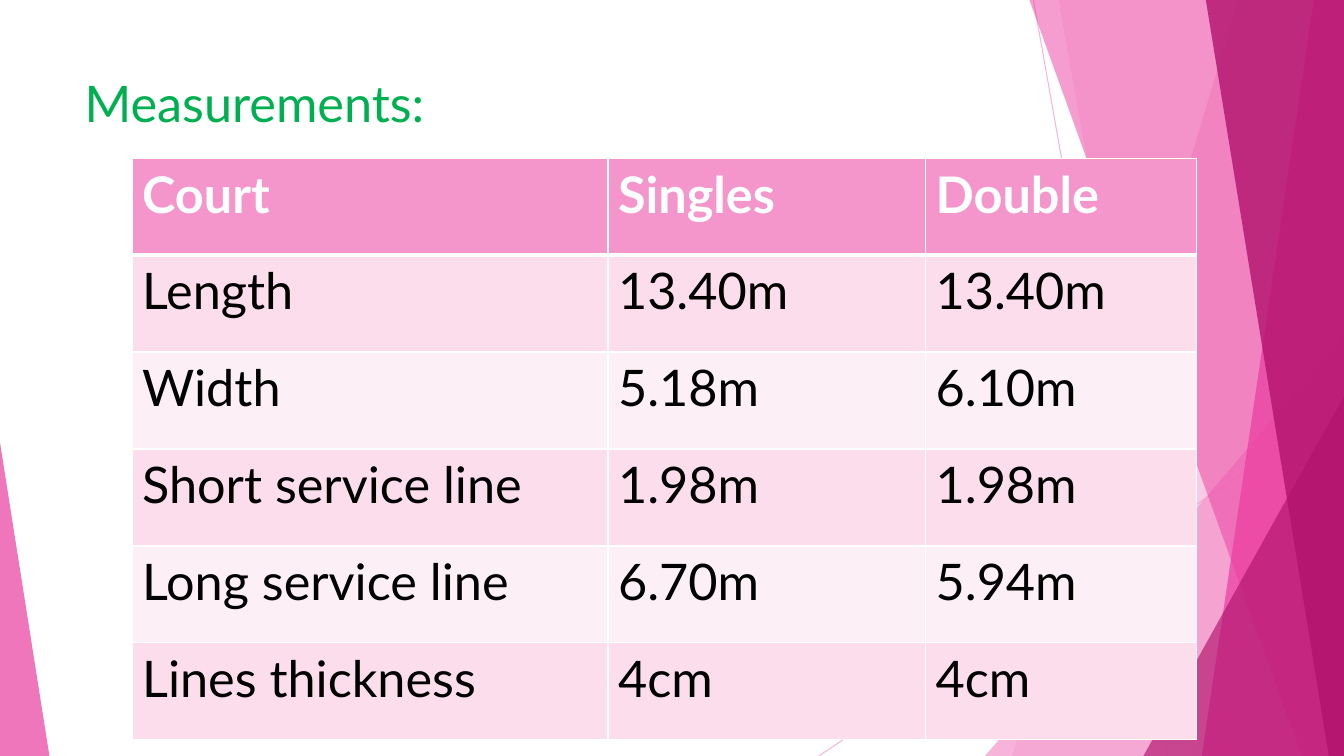
from lxml import etree
from pptx import Presentation
from pptx.dml.color import RGBColor
from pptx.enum.shapes import MSO_CONNECTOR, MSO_SHAPE
from pptx.oxml.ns import qn
from pptx.util import Inches, Pt

STRAIGHT = MSO_CONNECTOR.STRAIGHT
TRIANGLE = MSO_SHAPE.ISOSCELES_TRIANGLE
WIDTH, HEIGHT = 13.33, 7.5
FONT = "Lato"
LIGHT_PINK, PINK, DARK_PINK = "F496CB", "EB3D9F", "B2136D"
WHITE, BLACK, GREEN = "FFFFFF", "000000", "00B050"
BAND_FILLS = ("FDEFF6", "FBDDEC")


def paint(fill, color, opacity=100):
    """Make a fill solid in a hex colour, with opacity in percent."""
    fill.solid()
    fill.fore_color.rgb = RGBColor.from_string(color)
    if opacity < 100:
        for color_element in fill._xPr.iter(qn("a:srgbClr")):
            etree.SubElement(color_element, qn("a:alpha"), val=str(opacity * 1000))


def write(text_frame, text, color, bold=False):
    text_frame.text = text
    font = text_frame.paragraphs[0].runs[0].font
    font.name, font.size, font.bold = FONT, Pt(36), bold
    font.color.rgb = RGBColor.from_string(color)


presentation = Presentation()
presentation.slide_width, presentation.slide_height = Inches(WIDTH), Inches(HEIGHT)
slide = presentation.slides.add_slide(presentation.slide_layouts[6])
shapes = slide.shapes

# Thin lines behind the bands
for ends in ((10.25, 0, 11.58, HEIGHT), (WIDTH, 4.03, 8.12, HEIGHT)):
    connector = shapes.add_connector(STRAIGHT, *map(Inches, ends))
    connector.line.width = Pt(0.75)
    paint(connector.line.fill, LIGHT_PINK, 70)
    etree.SubElement(connector._element.spPr, qn("a:effectLst"))

# Bands reach the right edge: (left at top, left at bottom, colour, opacity)
# Triangles stand on the bottom edge: (left, width, height, apex, colour, opacity)
decorations = [
    (12.28, 10.04, LIGHT_PINK, 36),
    (10.5, 11.83, LIGHT_PINK, 20),
    (9.77, 3.56, 4.17, 1, LIGHT_PINK, 72),
    (10.21, 12.91, PINK, 50),
    (13.03, 11.92, PINK, 70),
    (11.96, 13.18, DARK_PINK, 80),
    (11.34, 1.99, 3.57, 1, DARK_PINK, 66),
    (0, 0.49, 3.11, 0, PINK, 70),
]
for *geometry, color, opacity in decorations:
    if len(geometry) == 2:
        top_left, bottom_left = geometry
        builder = shapes.build_freeform(Inches(top_left), 0)
        corners = ((WIDTH, 0), (WIDTH, HEIGHT), (bottom_left, HEIGHT))
        builder.add_line_segments([(Inches(x), Inches(y)) for x, y in corners])
        shape = builder.convert_to_shape()
    else:
        left, width, height, apex = geometry
        box = (left, HEIGHT - height, width, height)
        shape = shapes.add_shape(TRIANGLE, *map(Inches, box))
        shape.adjustments[0] = apex
    paint(shape.fill, color, opacity)
    shape.line.fill.background()
    shape.shadow.inherit = False

title = shapes.add_textbox(*map(Inches, (0.74, 0.67, 9.4, 0.67)))
title.text_frame.word_wrap = True
write(title.text_frame, "Measurements:", GREEN)

court_rows = [
    ("Court", "Singles", "Double"),
    ("Length", "13.40m", "13.40m"),
    ("Width", "5.18m", "6.10m"),
    ("Short service line", "1.98m", "1.98m"),
    ("Long service line", "6.70m", "5.94m"),
    ("Lines thickness", "4cm", "4cm"),
]
table_box = map(Inches, (1.31, 1.57, 10.56, 5.77))
table = shapes.add_table(len(court_rows), 3, *table_box).table
for column, width in zip(table.columns, (4.72, 3.15, 2.69)):
    column.width = Inches(width)

for row_index, values in enumerate(court_rows):
    header = row_index == 0
    for column_index, value in enumerate(values):
        cell = table.cell(row_index, column_index)
        write(cell.text_frame, value, WHITE if header else BLACK, header)
        paint(cell.fill, LIGHT_PINK if header else BAND_FILLS[row_index % 2])
        properties = cell._tc.get_or_add_tcPr()
        border_widths = {"L": 1, "R": 1, "T": 3 if row_index == 1 else 1, "B": 3 if header else 1}
        for position, (side, points) in enumerate(border_widths.items()):
            border = etree.Element(qn(f"a:ln{side}"), w=str(Pt(points)))
            border_fill = etree.SubElement(border, qn("a:solidFill"))
            etree.SubElement(border_fill, qn("a:srgbClr"), val=WHITE)
            properties.insert(position, border)

presentation.save("out.pptx")
